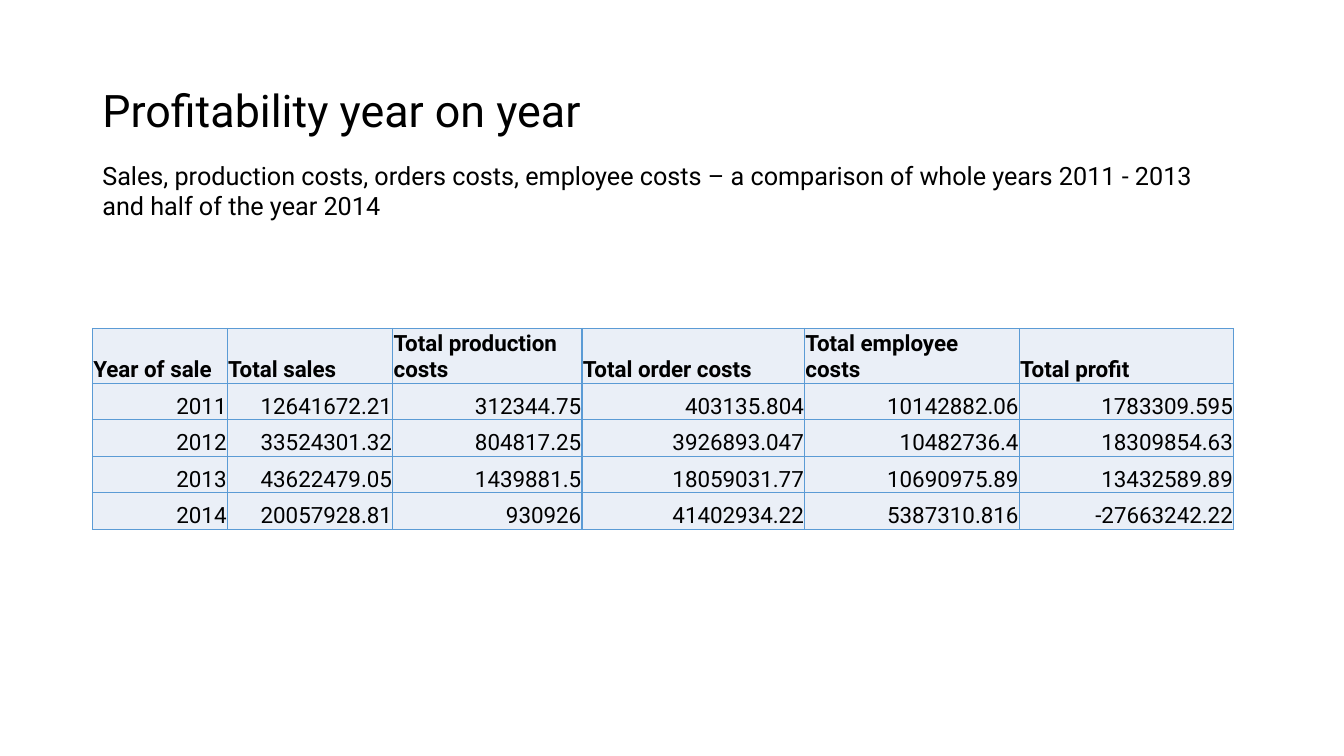
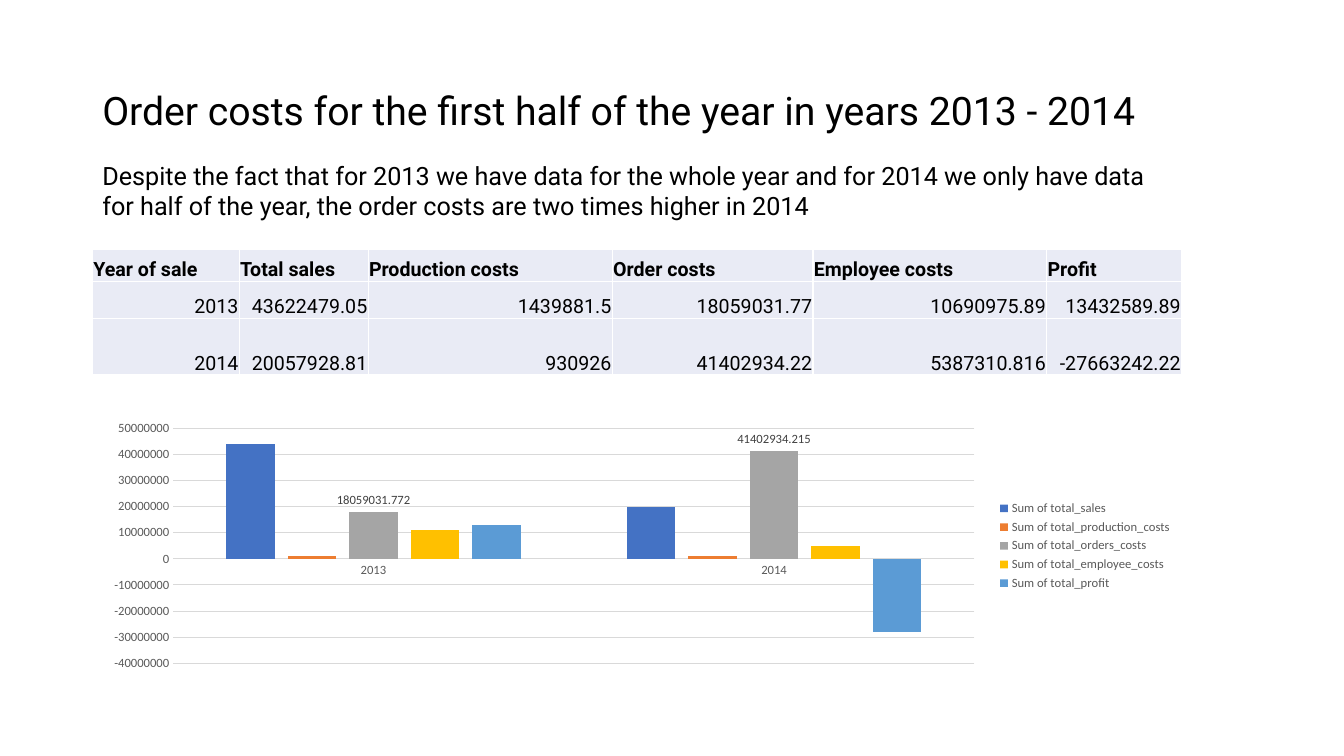
"""Build two slides comparing yearly sales, costs and profit."""
from dataclasses import dataclass
from typing import Any

from lxml.etree import SubElement
from pptx import Presentation
from pptx.chart.data import CategoryChartData as ChartData
from pptx.dml.color import RGBColor as Rgb
from pptx.enum.chart import XL_CHART_TYPE as ChartType
from pptx.enum.chart import XL_LABEL_POSITION as LabelPosition
from pptx.enum.chart import XL_LEGEND_POSITION as LegendPosition
from pptx.enum.chart import XL_TICK_MARK as TickMark
from pptx.enum.text import MSO_ANCHOR as Anchor
from pptx.enum.text import PP_ALIGN as Align
from pptx.oxml.ns import qn
from pptx.slide import Slide
from pptx.util import Cm, Pt


@dataclass(frozen=True)
class Theme:
    font: str = "Roboto"
    chart_font: str = "Calibri"
    ink: str = "000000"
    axis_ink: str = "595959"
    label_ink: str = "404040"
    grid: str = "D9D9D9"
    body_size: float = 18
    chart_size: float = 10
    axis_size: float = 9
    rule_width: float = 1
    grid_width: float = 0.75


THEME = Theme()
LEFT = 2.33


@dataclass(frozen=True)
class Heading:
    title: str
    title_size: float
    message: tuple[str, ...]
    message_width: float


@dataclass(frozen=True)
class Grid:
    top: float
    columns: tuple[float, ...]
    rows: tuple[float, ...]
    size: float
    fill: str
    border: str
    records: tuple[tuple[str, ...], ...]


@dataclass(frozen=True)
class Measure:
    name: str
    values: tuple[float, ...]
    color: str
    labelled: bool = False


YEARS = (
    ("2011", "12641672.21", "312344.75", "403135.804", "10142882.06", "1783309.595"),
    ("2012", "33524301.32", "804817.25", "3926893.047", "10482736.4", "18309854.63"),
    ("2013", "43622479.05", "1439881.5", "18059031.77", "10690975.89", "13432589.89"),
    ("2014", "20057928.81", "930926", "41402934.22", "5387310.816", "-27663242.22"),
)
RECENT = YEARS[2:]

PROFITABILITY = Heading(
    "Profitability year on year", 32,
    ("Sales, production costs, orders costs, employee costs – a comparison of whole years 2011 - 2013 ",
     "and half of the year 2014"),
    30.63,
)
ORDER_COSTS = Heading(
    "Order costs for the first half of the year in years 2013 - 2014", 28,
    ("Despite the fact that for 2013 we have data for the whole year and for 2014 we only have data "
     "for half of the year, the order costs are two times higher in 2014",),
    27.46,
)

ALL_YEARS = Grid(
    8.28, (3.4, 4.17, 4.77, 5.61, 5.41, 5.4), (1.29,) + (0.92,) * 4, 16, "EAEFF7", "5B9BD5",
    (("Year of sale", "Total sales", "Total production costs", "Total order costs",
      "Total employee costs", "Total profit"),) + YEARS,
)
LAST_YEARS = Grid(
    6.28, (3.7, 3.25, 6.15, 5.06, 5.89, 3.4), (0.81, 0.94, 1.42), 14, "E9EBF5", "FFFFFF",
    (("Year of sale", "Total sales", "Production costs", "Order costs",
      "Employee costs", "Profit"),) + RECENT,
)
MEASURES = (
    Measure("Sum of total_sales", (44_000_000, 20_000_000), "4472C4"),
    Measure("Sum of total_production_costs", (1_000_000, 1_000_000), "ED7D31"),
    Measure("Sum of total_orders_costs", (18059031.772, 41402934.215), "A5A5A5", True),
    Measure("Sum of total_employee_costs", (11_000_000, 5_000_000), "FFC000"),
    Measure("Sum of total_profit", (13_000_000, -28_000_000), "5B9BD5"),
)


def apply_format(target: Any, values: dict[str, Any]) -> None:
    """Set each named attribute on the target."""
    for name, value in values.items():
        setattr(target, name, value)


def style_font(font: Any, size: float, color: str = THEME.ink, family: str = THEME.font,
               bold: bool = False) -> None:
    """Give a font its family, size, weight and colour."""
    apply_format(font, {"name": family, "size": Pt(size), "bold": bold})
    font.color.rgb = Rgb.from_string(color)


def add_text(slide: Slide, box: tuple[float, ...], lines: tuple[str, ...], size: float,
             frame_format: dict[str, Any], paragraph_format: dict[str, Any]) -> None:
    """Add a wrapped text box whose lines share one paragraph."""
    frame = slide.shapes.add_textbox(*map(Cm, box)).text_frame
    apply_format(frame, {"word_wrap": True} | frame_format)
    paragraph = frame.paragraphs[0]
    apply_format(paragraph, paragraph_format)
    for index, line in enumerate(lines):
        if index:
            paragraph.add_line_break()
        run = paragraph.add_run()
        run.text = line
        style_font(run.font, size)


def add_heading(slide: Slide, heading: Heading) -> None:
    """Add the slide title and the message under it."""
    add_text(slide, (LEFT, 1.01, 29.21, 3.68), (heading.title,), heading.title_size,
             {"vertical_anchor": Anchor.MIDDLE}, {"line_spacing": 0.9})
    add_text(slide, (LEFT, 3.91, heading.message_width, 1.8), heading.message,
             THEME.body_size, {}, {})


def add_borders(cell: Any, color: str) -> None:
    """Draw a thin rule on all four sides of a cell."""
    properties = cell._tc.get_or_add_tcPr()
    for side in ("a:lnL", "a:lnR", "a:lnT", "a:lnB"):
        rule = SubElement(properties, qn(side), w=str(Pt(THEME.rule_width)))
        SubElement(SubElement(rule, qn("a:solidFill")), qn("a:srgbClr"), val=color)


def add_grid(slide: Slide, grid: Grid) -> None:
    """Add a table with a bold first row and right-aligned figures."""
    table = slide.shapes.add_table(
        len(grid.rows), len(grid.columns), Cm(LEFT), Cm(grid.top),
        Cm(sum(grid.columns)), Cm(sum(grid.rows))).table
    apply_format(table, {"first_row": False, "horz_banding": False})
    for column, width in zip(table.columns, grid.columns):
        column.width = Cm(width)
    for index, (row, height, record) in enumerate(zip(table.rows, grid.rows, grid.records)):
        row.height = Cm(height)
        is_header = index == 0
        for cell, wording in zip(row.cells, record):
            apply_format(cell, {
                "text": wording, "vertical_anchor": Anchor.BOTTOM, "margin_left": Cm(0.02),
                "margin_right": Cm(0.02), "margin_top": Cm(0.02), "margin_bottom": 0})
            paragraph = cell.text_frame.paragraphs[0]
            paragraph.alignment = Align.LEFT if is_header else Align.RIGHT
            style_font(paragraph.runs[0].font, grid.size, bold=is_header)
            add_borders(cell, grid.border)
            cell.fill.solid()
            cell.fill.fore_color.rgb = Rgb.from_string(grid.fill)


def style_line(line: Any) -> None:
    """Give a chart line the grid colour and width."""
    line.color.rgb = Rgb.from_string(THEME.grid)
    line.width = Pt(THEME.grid_width)


def add_comparison(slide: Slide, years: tuple[str, ...], measures: tuple[Measure, ...]) -> None:
    """Add the clustered columns that compare the years."""
    figures = ChartData(number_format="General")
    figures.categories = years
    for measure in measures:
        figures.add_series(measure.name, measure.values)
    chart = slide.shapes.add_chart(ChartType.COLUMN_CLUSTERED, Cm(LEFT), Cm(10.48),
                                   Cm(27.46), Cm(6.55), figures).chart
    apply_format(chart, {"has_title": False, "has_legend": True})
    style_font(chart.font, THEME.chart_size, family=THEME.chart_font)
    apply_format(chart.legend, {"position": LegendPosition.RIGHT, "include_in_layout": False})

    plot = chart.plots[0]
    apply_format(plot, {"gap_width": 219, "overlap": -27, "vary_by_categories": False})
    for series, measure in zip(plot.series, measures):
        series.invert_if_negative = False
        series.format.fill.solid()
        series.format.fill.fore_color.rgb = Rgb.from_string(measure.color)
        if measure.labelled:
            labels = series.data_labels
            apply_format(labels, {"show_value": True, "position": LabelPosition.OUTSIDE_END})
            style_font(labels.font, THEME.axis_size, THEME.label_ink, THEME.chart_font)

    year_axis, amount_axis = chart.category_axis, chart.value_axis
    for axis in (year_axis, amount_axis):
        apply_format(axis, {"major_tick_mark": TickMark.NONE, "minor_tick_mark": TickMark.NONE})
    for part in (year_axis.tick_labels, amount_axis.tick_labels, chart.legend):
        style_font(part.font, THEME.axis_size, THEME.axis_ink, THEME.chart_font)
    apply_format(amount_axis, {"minimum_scale": -40_000_000, "maximum_scale": 50_000_000,
                               "major_unit": 10_000_000, "has_major_gridlines": True})
    style_line(year_axis.format.line)
    style_line(amount_axis.major_gridlines.format.line)
    amount_axis.format.line.fill.background()


def main() -> None:
    """Build and save the presentation."""
    deck = Presentation()
    apply_format(deck, {"slide_width": Cm(33.87), "slide_height": Cm(19.05)})
    blank = deck.slide_layouts[6]
    for heading, grid in ((PROFITABILITY, ALL_YEARS), (ORDER_COSTS, LAST_YEARS)):
        slide = deck.slides.add_slide(blank)
        add_heading(slide, heading)
        add_grid(slide, grid)
    add_comparison(slide, tuple(record[0] for record in RECENT), MEASURES)
    deck.save("out.pptx")


if __name__ == "__main__":
    main()
